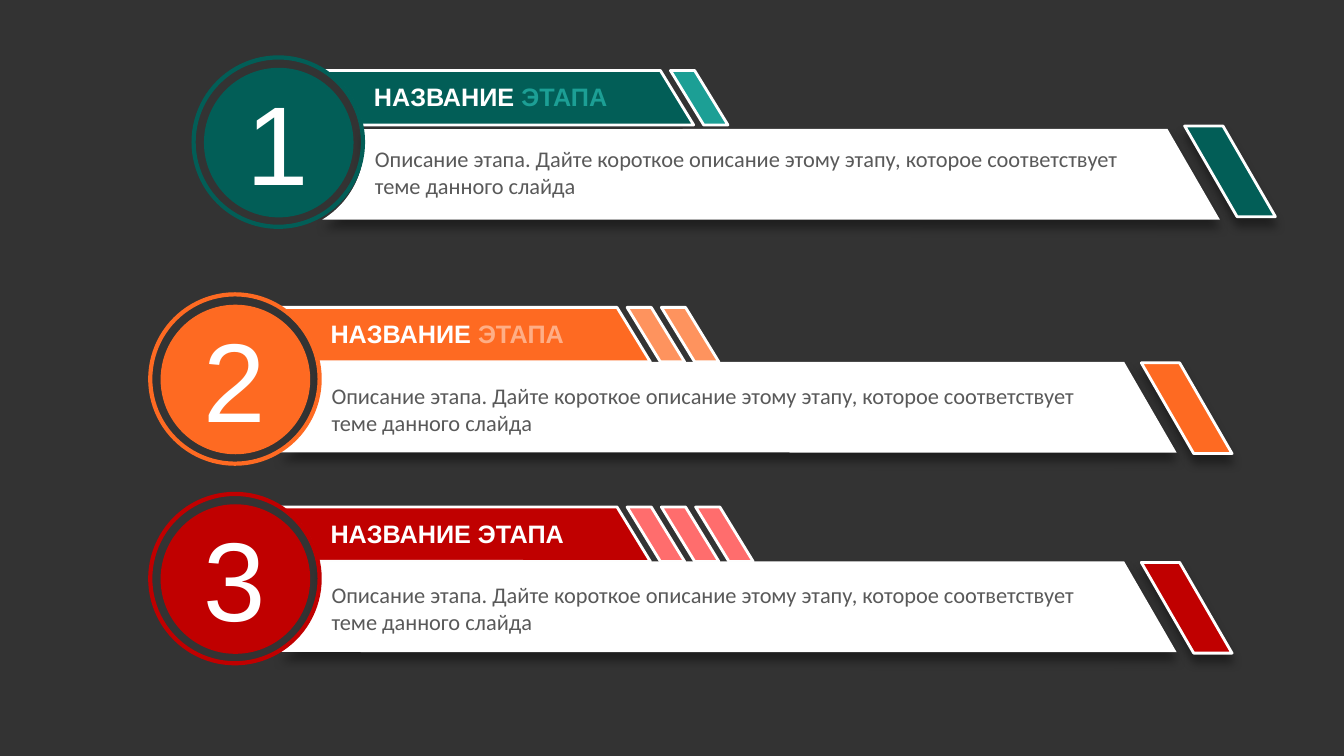
from math import cos, radians, sin

from lxml.etree import SubElement
from pptx import Presentation
from pptx.dml.color import RGBColor
from pptx.enum.shapes import MSO_SHAPE as Shape
from pptx.enum.text import MSO_AUTO_SIZE as Fit, PP_ALIGN as Align
from pptx.oxml.ns import qn
from pptx.util import Inches, Pt

WHITE = RGBColor(0xFF, 0xFF, 0xFF)
PAPER = RGBColor(0xF0, 0xF0, 0xF0)
DARK = RGBColor(0x33, 0x33, 0x33)
GRAY = RGBColor(0x59, 0x59, 0x59)
TEAL = RGBColor(0x02, 0x5E, 0x57)
MINT = RGBColor(0x1C, 0x9F, 0x95)
ORANGE = RGBColor(0xFE, 0x6A, 0x22)
PEACH = RGBColor(0xFE, 0x93, 0x5E)
CREAM = RGBColor(0xFE, 0xAE, 0x86)
RED = RGBColor(0xC0, 0x00, 0x00)
PINK = RGBColor(0xFF, 0x6D, 0x6D)

NOTE = ("Описание этапа. Дайте короткое описание этому этапу, "
        "которое соответствует теме данного слайда")

# Ring left and top, panel top below the ring top, main, stripe and
# second heading colours, number of stripes
STEPS = [
    (1.92, 0.57, 0.71, TEAL, MINT, MINT, 1),
    (1.49, 2.92, 0.67, ORANGE, PEACH, CREAM, 2),
    (1.49, 4.9, 0.67, RED, PINK, WHITE, 3),
]


def paint(shape, fill=None, line=None, width=1, shade=False):
    if fill is None:
        shape.fill.background()
    else:
        shape.fill.solid()
        shape.fill.fore_color.rgb = fill
    if line is None:
        shape.line.fill.background()
    else:
        shape.line.color.rgb = line
        shape.line.width = Pt(width)
    shape.shadow.inherit = False
    if shade:
        effects = shape._element.spPr.find(qn("a:effectLst"))
        outer = SubElement(effects, qn("a:outerShdw"), blurRad=str(Pt(7)),
                           dist=str(Pt(6)), dir="5400000", algn="t",
                           rotWithShape="0")
        color = SubElement(outer, qn("a:srgbClr"), val="000000")
        SubElement(color, qn("a:alpha"), val="40000")


def basic(shapes, kind, x, y, wide, high, **style):
    shape = shapes.add_shape(kind, Inches(x), Inches(y),
                             Inches(wide), Inches(high))
    paint(shape, **style)


def outline(shapes, x, y, points, **style):
    spots = [(Inches(x + dx), Inches(y + dy)) for dx, dy in points]
    form = shapes.build_freeform(*spots[0])
    form.add_line_segments(spots[1:], close=True)
    paint(form.convert_to_shape(), **style)


def arc(x, y, radius, start, end, count=24):
    turns = [radians(start + (end - start) * i / count)
             for i in range(count + 1)]
    return [(x + radius * cos(t), y + radius * sin(t)) for t in turns]


def slant(wide, shift, high):
    return [(0, 0), (wide, 0), (wide + shift, high), (shift, high)]


def text(shapes, x, y, wide, high, *parts, font="Arial", size=18,
         bold=False, align=Align.LEFT):
    """Each part is a pair of wording and colour."""
    box = shapes.add_textbox(Inches(x), Inches(y), Inches(wide), Inches(high))
    frame = box.text_frame
    frame.word_wrap = True
    frame.auto_size = Fit.SHAPE_TO_FIT_TEXT
    para = frame.paragraphs[0]
    para.alignment = align
    for words, color in parts:
        run = para.add_run()
        run.text = words
        run.font.name = font
        run.font.size = Pt(size)
        run.font.bold = bold
        run.font.color.rgb = color


def step(shapes, number, x, y, drop, main, light, accent, count):
    # Disc and heading tab
    basic(shapes, Shape.OVAL, x + 0.11, y + 0.11, 1.47, 1.47,
          fill=main, line=main)
    edge = arc(-0.46, 0.71, 0.84, -11.7, -57.7)
    outline(shapes, x + 1.3, y + 0.13, [(3.33, 0), (3.66, 0.54)] + edge,
            fill=main, line=WHITE, width=2)

    # Stripes after the tab
    for i in range(count):
        outline(shapes, x + 4.73 + 0.34 * i, y + 0.13,
                slant(0.24, 0.33, 0.54), fill=light, line=WHITE, width=2)

    # Panel, ring and end stripe
    edge = arc(-0.44, 0.17, 0.85, 59, -11.5)
    outline(shapes, x + 1.28, y + drop, [(8.38, 0), (8.9, 0.9)] + edge,
            fill=WHITE, shade=True)
    basic(shapes, Shape.OVAL, x, y, 1.68, 1.68, line=main, width=3)
    outline(shapes, x + 9.83, y + 0.68, slant(0.38, 0.52, 0.9),
            fill=main, line=WHITE, width=2, shade=True)

    # Wording
    text(shapes, x + 0.43, y + 0.11, 0.8, 1.45, (str(number), WHITE),
         size=80, align=Align.CENTER)
    text(shapes, x + 1.69, y + 0.19, 3.32, 0.4, ("НАЗВАНИЕ ", WHITE),
         ("ЭТАПА", accent), bold=True)
    text(shapes, x + 1.7, y + 0.82, 7.84, 0.64, (NOTE, GRAY),
         font="Calibri", size=16)


def main():
    deck = Presentation()
    deck.slide_width = Inches(13.33)
    deck.slide_height = Inches(7.5)
    slide = deck.slides.add_slide(deck.slide_layouts[6])

    # Backdrop
    slide.background.fill.solid()
    slide.background.fill.fore_color.rgb = PAPER
    basic(slide.shapes, Shape.RECTANGLE, 0, 0, 13.33, 7.5, fill=DARK)

    # Steps
    for number, data in enumerate(STEPS, 1):
        group = slide.shapes.add_group_shape()
        step(group.shapes, number, *data)

    deck.save("out.pptx")


if __name__ == "__main__":
    main()
